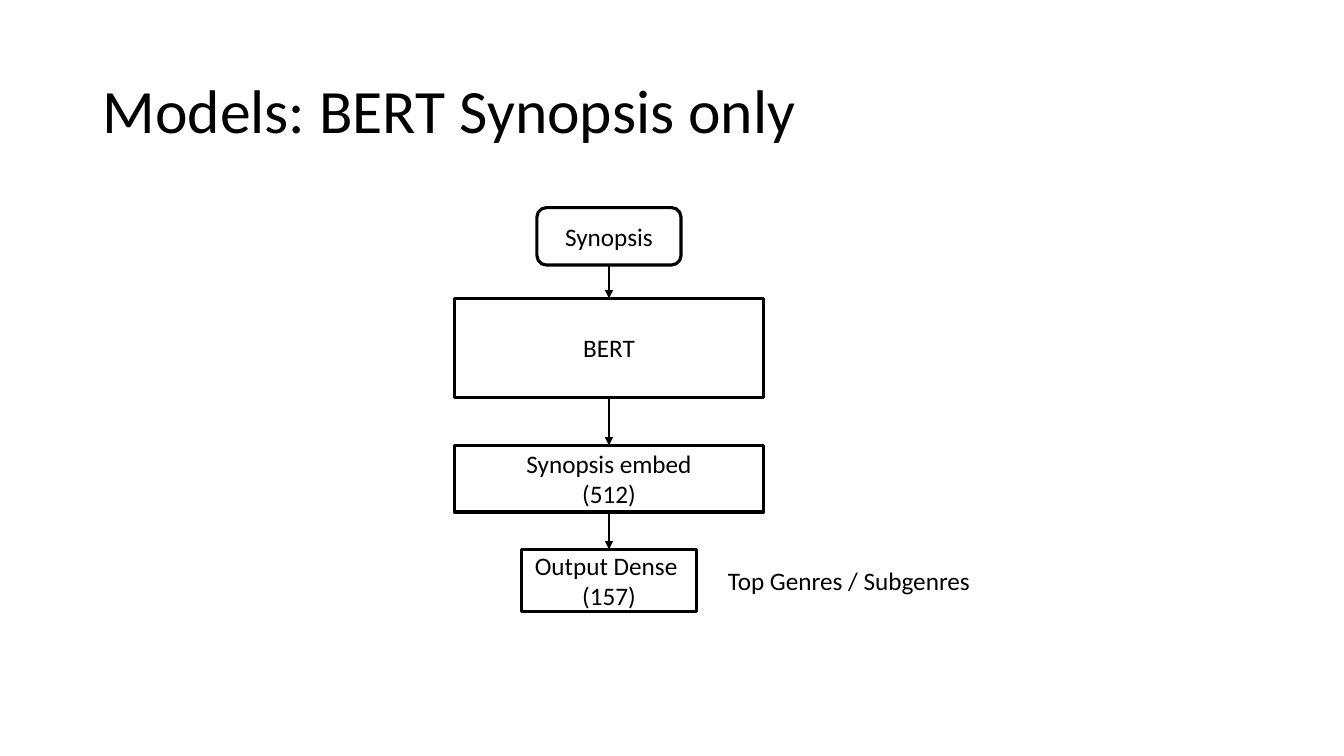
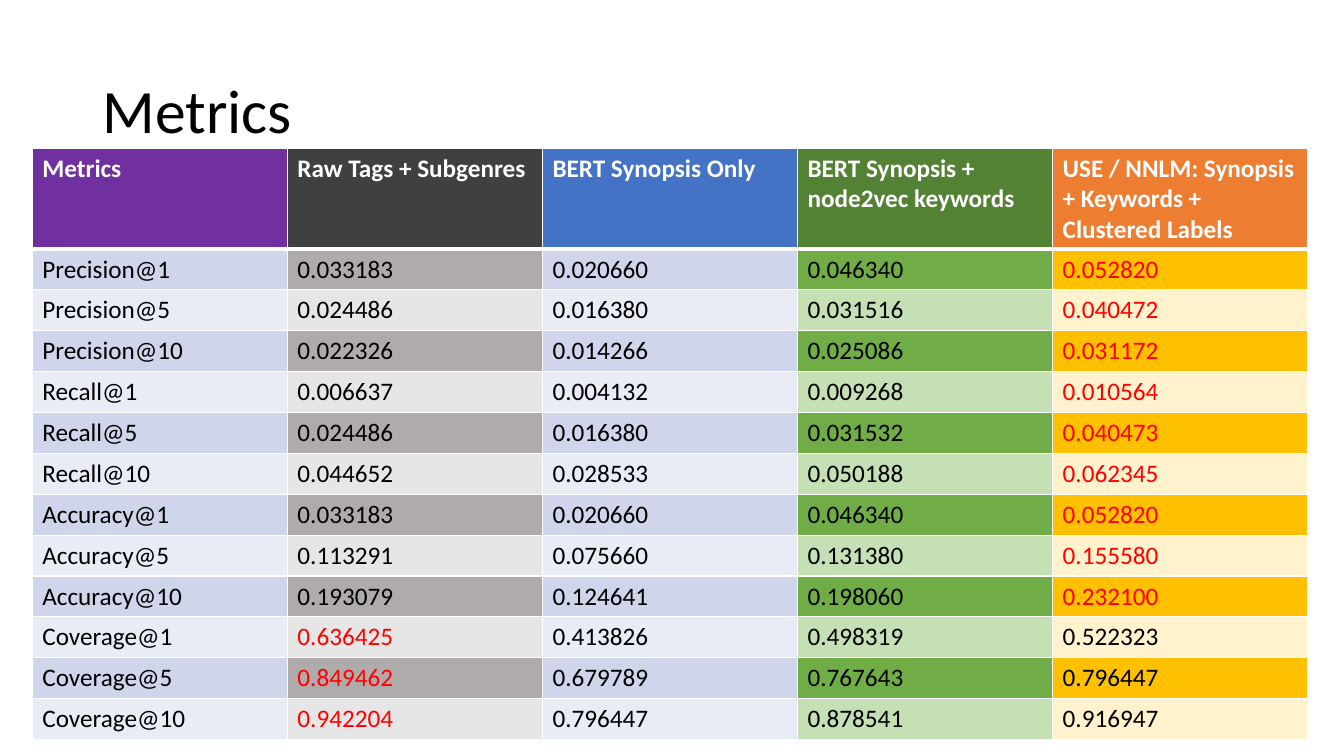
import pptx
import pptx.dml.color
import pptx.enum.shapes
import pptx.enum.text
import pptx.oxml
import pptx.oxml.ns
import pptx.util
from lxml import etree

Inches = pptx.util.Inches
Pt = pptx.util.Pt
SHAPES = pptx.enum.shapes.MSO_SHAPE
ANCHOR = pptx.enum.text.MSO_ANCHOR
ALIGN = pptx.enum.text.PP_ALIGN

BLACK, WHITE, RED = "000000", "FFFFFF", "FF0000"
BODY = {"name": "Calibri", "size": Pt(18), "bold": False}
TITLE = {**BODY, "size": Pt(44)}
HEADER = {**BODY, "bold": True}

# label, shape, top, width, height
FLOW_CENTER = 6.04
FLOW = [
    ("Synopsis", SHAPES.ROUNDED_RECTANGLE, 2.06, 1.43, 0.57),
    ("BERT", SHAPES.RECTANGLE, 2.96, 3.07, 0.98),
    ("Synopsis embed\v(512)", SHAPES.RECTANGLE, 4.42, 3.07, 0.66),
    ("Output Dense \v(157)", SHAPES.RECTANGLE, 5.45, 1.74, 0.62),
]

# heading, heading fill, fills of odd and even rows
COLUMNS = [
    ("Metrics", "7030A0", ("CFD5EA", "E9EBF5")),
    ("Raw Tags + Subgenres", "404040", ("AFABAB", "E7E6E6")),
    ("BERT Synopsis Only", "4472C4", ("CFD5EA", "E9EBF5")),
    ("BERT Synopsis + node2vec keywords", "548235", ("70AD47", "C5E0B4")),
    ("USE / NNLM: Synopsis + Keywords + Clustered Labels", "ED7D31",
     ("FFC000", "FFF2CC")),
]
SCORES = [
    ("Precision@1", "0.033183", "0.020660", "0.046340", "0.052820"),
    ("Precision@5", "0.024486", "0.016380", "0.031516", "0.040472"),
    ("Precision@10", "0.022326", "0.014266", "0.025086", "0.031172"),
    ("Recall@1", "0.006637", "0.004132", "0.009268", "0.010564"),
    ("Recall@5", "0.024486", "0.016380", "0.031532", "0.040473"),
    ("Recall@10", "0.044652", "0.028533", "0.050188", "0.062345"),
    ("Accuracy@1", "0.033183", "0.020660", "0.046340", "0.052820"),
    ("Accuracy@5", "0.113291", "0.075660", "0.131380", "0.155580"),
    ("Accuracy@10", "0.193079", "0.124641", "0.198060", "0.232100"),
    ("Coverage@1", "0.636425", "0.413826", "0.498319", "0.522323"),
    ("Coverage@5", "0.849462", "0.679789", "0.767643", "0.796447"),
    ("Coverage@10", "0.942204", "0.796447", "0.878541", "0.916947"),
]


def color(value):
    """Turn a hex string into a colour."""
    return pptx.dml.color.RGBColor.from_string(value)


def paint(fill, value):
    """Make a fill solid in one colour."""
    fill.solid()
    fill.fore_color.rgb = color(value)


def write(frame, text, style, ink=BLACK, **layout):
    """Write one paragraph with a font style and paragraph settings."""
    para = frame.paragraphs[0]
    para.text = text
    for name, value in layout.items():
        setattr(para, name, value)
    for span in para.runs:
        for name, value in style.items():
            setattr(span.font, name, value)
        span.font.color.rgb = color(ink)


def add_text(page, text, place, style, wrap=True, anchor=ANCHOR.TOP, **layout):
    """Add a text box at left, top, width, height."""
    frame = page.shapes.add_textbox(*map(Inches, place)).text_frame
    frame.word_wrap = wrap
    frame.vertical_anchor = anchor
    write(frame, text, style, **layout)


def add_page(deck, title):
    """Add a blank page with the shared title style."""
    page = deck.slides.add_slide(deck.slide_layouts[6])
    add_text(page, title, (0.92, 0.4, 11.5, 1.45), TITLE,
             anchor=ANCHOR.MIDDLE, line_spacing=0.9)
    return page


def add_box(page, label, kind, top, width, height):
    """Add an outlined box centred on the flow axis."""
    place = (FLOW_CENTER - width / 2, top, width, height)
    box = page.shapes.add_shape(kind, *map(Inches, place))
    box.shadow.inherit = False
    paint(box.fill, WHITE)
    paint(box.line.fill, BLACK)
    box.line.width = Pt(2.25)
    box.text_frame.word_wrap = True
    box.text_frame.vertical_anchor = ANCHOR.MIDDLE
    write(box.text_frame, label, BODY, alignment=ALIGN.CENTER)
    return box


def add_arrow(page, upper, lower):
    """Join the bottom of one box to the top of the next."""
    arrow = page.shapes.add_connector(
        pptx.enum.shapes.MSO_CONNECTOR.STRAIGHT, 0, 0, 0, 0)
    arrow.begin_connect(upper, 2)
    arrow.end_connect(lower, 0)
    paint(arrow.line.fill, BLACK)
    arrow.line.width = Pt(1.5)
    qn = pptx.oxml.ns.qn
    etree.SubElement(arrow.line._get_or_add_ln(), qn("a:tailEnd"), type="triangle")
    etree.SubElement(arrow._element.spPr, qn("a:effectLst"))


def add_borders(cell, top, bottom):
    """Give a cell white borders, with top and bottom widths in points."""
    qn = pptx.oxml.ns.qn
    properties = cell._tc.get_or_add_tcPr()
    for side, width in (("L", 1), ("R", 1), ("T", top), ("B", bottom)):
        line = etree.SubElement(properties, qn("a:ln" + side), w=str(Pt(width)))
        solid = etree.SubElement(line, qn("a:solidFill"))
        etree.SubElement(solid, qn("a:srgbClr"), val=WHITE)


def fill_cell(cell, text, fill, style, ink, top=1, bottom=1):
    """Set the borders, fill and text of a cell."""
    add_borders(cell, top, bottom)
    paint(cell.fill, fill)
    write(cell.text_frame, text, style, ink)


def add_scores(page):
    """Add the score table, with the best score of each row in red."""
    width, height, header_height = 12.65, 5.87, 1.0
    table = page.shapes.add_table(
        len(SCORES) + 1, len(COLUMNS), Inches(0.32), Inches(1.47),
        Inches(width), Inches(height)).table
    for row in table.rows:
        row.height = Inches((height - header_height) / len(SCORES))
    table.rows[0].height = Inches(header_height)
    for index, (heading, heading_fill, bands) in enumerate(COLUMNS):
        table.columns[index].width = Inches(width / len(COLUMNS))
        fill_cell(table.cell(0, index), heading, heading_fill, HEADER, WHITE,
                  bottom=3)
        for number, scores in enumerate(SCORES):
            text = scores[index]
            ink = RED if text == max(scores[1:]) else BLACK
            fill_cell(table.cell(number + 1, index), text, bands[number % 2],
                      BODY, ink, top=1 if number else 3)


def main():
    """Build and save the deck."""
    deck = pptx.Presentation()
    deck.slide_width, deck.slide_height = Inches(13.33), Inches(7.5)

    model_page = add_page(deck, "Models: BERT Synopsis only")
    boxes = [add_box(model_page, *step) for step in FLOW]
    for upper, lower in zip(boxes, boxes[1:]):
        add_arrow(model_page, upper, lower)
    add_text(model_page, "Top Genres / Subgenres", (7.12, 5.56, 2.64, 0.4),
             BODY, wrap=False)

    add_scores(add_page(deck, "Metrics"))
    deck.save("out.pptx")


main()
